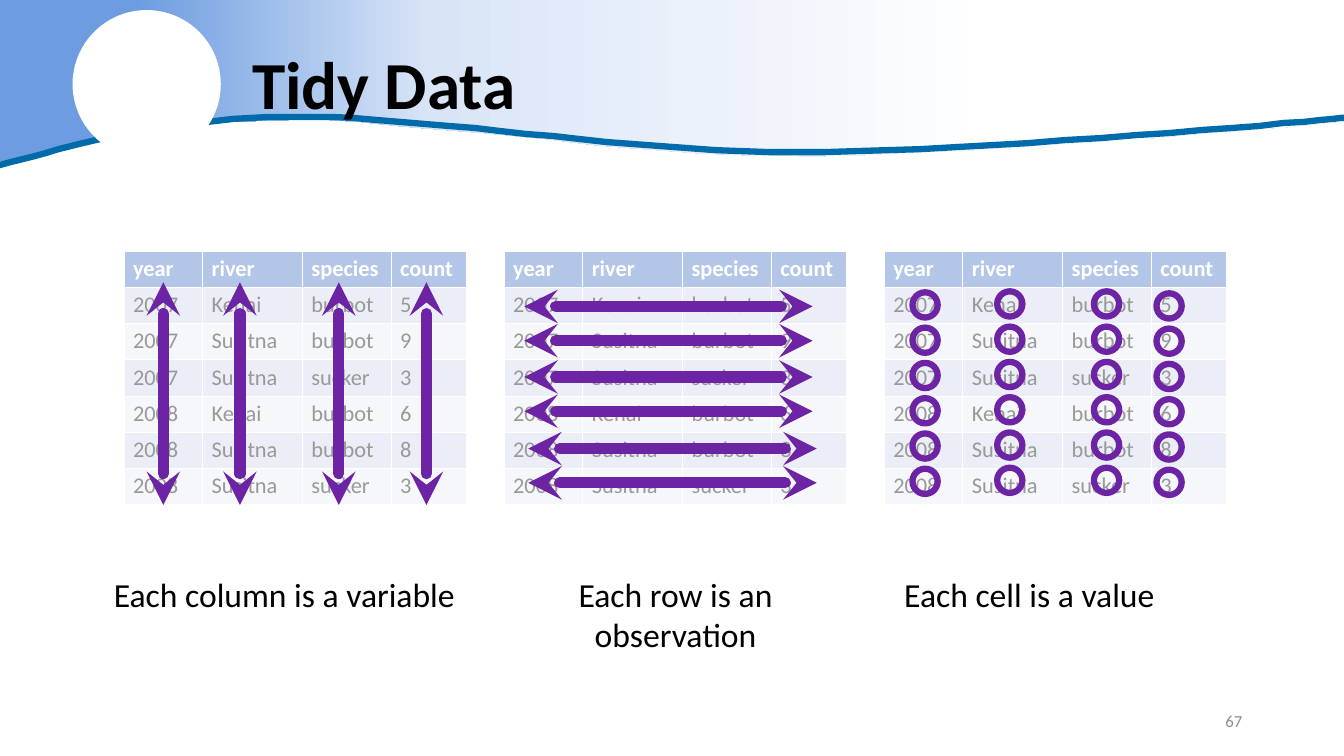
"""Build the Tidy Data slide: three tables marked by column, by row and by cell."""
from copy import deepcopy

from pptx import Presentation
from pptx import util as u
from pptx.dml import color
from pptx.enum import shapes, text
from pptx.oxml import ns
from pptx.oxml import xmlchemy as xc

PX = 9144
PURPLE = "6D24A4"


def rgb(code):
    return color.RGBColor.from_string(code)


def style(p, size, code, bold=False, align=text.PP_ALIGN.LEFT):
    p.alignment = align
    for r in p.runs:
        r.font.name, r.font.size, r.font.bold = "Calibri", u.Pt(size), bold
        r.font.color.rgb = rgb(code)


prs = Presentation()
prs.slide_width, prs.slide_height = 1333 * PX, 750 * PX
s = prs.slides.add_slide(prs.slide_layouts[5])

band_edge = [
    (1334, 120), (1277, 126), (1206, 131), (1143, 137), (1081, 141), (1013, 145),
    (962, 149), (903, 151), (854, 154), (808, 155), (742, 154), (692, 152),
    (640, 148), (591, 144), (543, 138), (481, 132), (430, 128), (395, 125),
    (358, 121), (326, 119), (288, 119), (255, 120), (228, 121), (190, 125),
    (159, 129), (113, 136), (86, 142), (64, 146), (44, 151), (19, 158), (0, 165),
]
fb = s.shapes.build_freeform(0, 0, PX)
fb.add_line_segments([(1334, 0)] + band_edge, close=True)
band = fb.convert_to_shape()
band.shadow.inherit = False
band.line.fill.background()
band.fill.gradient()
band.fill.gradient_angle = 0
stops = band._element.spPr.find(".//" + ns.qn("a:gsLst"))
stops.append(deepcopy(stops[-1]))
band_colors = [(0.10, "6D9CE1"), (0.32, "D9E5F7"), (0.74, "FFFFFF")]
for stop, (position, code) in zip(band.fill.gradient_stops, band_colors):
    stop.position = position
    stop.color.rgb = rgb(code)

wave_curves = [
    [(-1, 164), (75, 144), (155, 118), (287, 116)],
    [(287, 116), (419, 114), (615, 151), (790, 151)],
    [(790, 151), (964, 152), (1333, 117), (1333, 117)],
]
wave_points = []
for curve in wave_curves:
    for step in range(1, 21):
        t = step / 20
        weights = [(1 - t) ** 3, 3 * t * (1 - t) ** 2, 3 * t * t * (1 - t), t ** 3]
        wave_points.append([sum(w * pt[axis] for w, pt in zip(weights, curve)) for axis in (0, 1)])
fb = s.shapes.build_freeform(-1, 164, PX)
fb.add_line_segments(wave_points, close=False)
wave = fb.convert_to_shape()
wave.shadow.inherit = False
wave.fill.background()
wave.line.color.rgb = rgb("006BAB")
wave.line.width = u.Pt(4.5)

disc = s.shapes.add_shape(shapes.MSO_SHAPE.OVAL, 72 * PX, 10 * PX, 147 * PX, 147 * PX)
disc.shadow.inherit = False
disc.fill.solid()
disc.fill.fore_color.rgb = rgb("FFFFFF")
disc.line.fill.background()

title = s.shapes.title
s.shapes._spTree.append(title._element)
title.left, title.top, title.width, title.height = 240 * PX, 20 * PX, 1002 * PX, 134 * PX
tf = title.text_frame
tf.text = "Tidy Data"
tf.vertical_anchor = text.MSO_ANCHOR.MIDDLE
tf.paragraphs[0].line_spacing = 0.9
style(tf.paragraphs[0], 48, "000000", bold=True)

fish_counts = [
    ("year", "river", "species", "count"),
    ("2007", "Kenai", "burbot", "5"),
    ("2007", "Susitna", "burbot", "9"),
    ("2007", "Susitna", "sucker", "3"),
    ("2008", "Kenai", "burbot", "6"),
    ("2008", "Susitna", "burbot", "8"),
    ("2008", "Susitna", "sucker", "3"),
]
for left in (123, 500, 877):
    table = s.shapes.add_table(7, 4, left * PX, 249 * PX, 340 * PX, 252 * PX).table
    for column, width in zip(table.columns, (78, 99, 88, 75)):
        column.width = width * PX
    for i, record in enumerate(fish_counts):
        fill = "4472C4" if i == 0 else ("E9EBF5", "CFD5EA")[i % 2]
        for j, value in enumerate(record):
            cell = table.cell(i, j)
            cell.text = value
            cell.margin_left = cell.margin_right = 9 * PX
            cell.margin_top = cell.margin_bottom = 4 * PX
            cell.fill.solid()
            cell.fill.fore_color.rgb = rgb(fill)
            style(cell.text_frame.paragraphs[0], 16, "000000" if i else "FFFFFF", bold=i == 0)

veil = s.shapes.add_shape(shapes.MSO_SHAPE.RECTANGLE, 102 * PX, 241 * PX, 1129 * PX, 268 * PX)
veil.shadow.inherit = False
veil.fill.solid()
veil.fill.fore_color.rgb = rgb("FFFFFF")
veil.line.fill.background()
veil_color = veil._element.spPr.find(".//" + ns.qn("a:srgbClr"))
xc.OxmlElement("a:alpha")
alpha = xc.OxmlElement("a:alpha")
alpha.set("val", "60000")
veil_color.append(alpha)

column_arrows = [(x, 280, x, 501) for x in (162, 238, 336, 423)]
row_arrows = [(806, y, 520, y) for y in (304, 338, 374, 408)]
row_arrows += [(810, y, 524, y) for y in (445, 479)]
for ends in column_arrows + row_arrows:
    arrow = s.shapes.add_connector(shapes.MSO_CONNECTOR.STRAIGHT, *[v * PX for v in ends])
    arrow.line.color.rgb = rgb(PURPLE)
    arrow.line.width = u.Pt(8)
    ln = arrow.line._get_or_add_ln()
    ln.set("cap", "rnd")
    for tag in ("a:headEnd", "a:tailEnd"):
        end = xc.OxmlElement(tag)
        end.set("type", "stealth")
        ln.append(end)
    arrow._element.spPr.append(xc.OxmlElement("a:effectLst"))

for row in range(6):
    for x, drop in ((905, 1), (989, 0), (1085, 0), (1147, 2)):
        y = 289 + 35 * row + drop
        ring = s.shapes.add_shape(shapes.MSO_SHAPE.OVAL, x * PX, y * PX, 25 * PX, 25 * PX)
        ring.shadow.inherit = False
        ring.fill.background()
        ring.line.color.rgb = rgb(PURPLE)
        ring.line.width = u.Pt(4.5)

center, right = text.PP_ALIGN.CENTER, text.PP_ALIGN.RIGHT
top, middle = text.MSO_ANCHOR.TOP, text.MSO_ANCHOR.MIDDLE
labels = [
    ("Each column is a variable", 102, 564, 360, 50, 24, "000000", center, top),
    ("Each row is an observation", 500, 564, 340, 91, 24, "000000", center, top),
    ("Each cell is a value", 871, 564, 300, 50, 24, "000000", center, top),
    ("67", 942, 695, 300, 40, 12, "8C8C8C", right, middle),
]
for label, x, y, w, h, size, code, align, anchor in labels:
    tf = s.shapes.add_textbox(x * PX, y * PX, w * PX, h * PX).text_frame
    tf.word_wrap = True
    tf.vertical_anchor = anchor
    tf.text = label
    style(tf.paragraphs[0], size, code, align=align)

prs.save("out.pptx")
